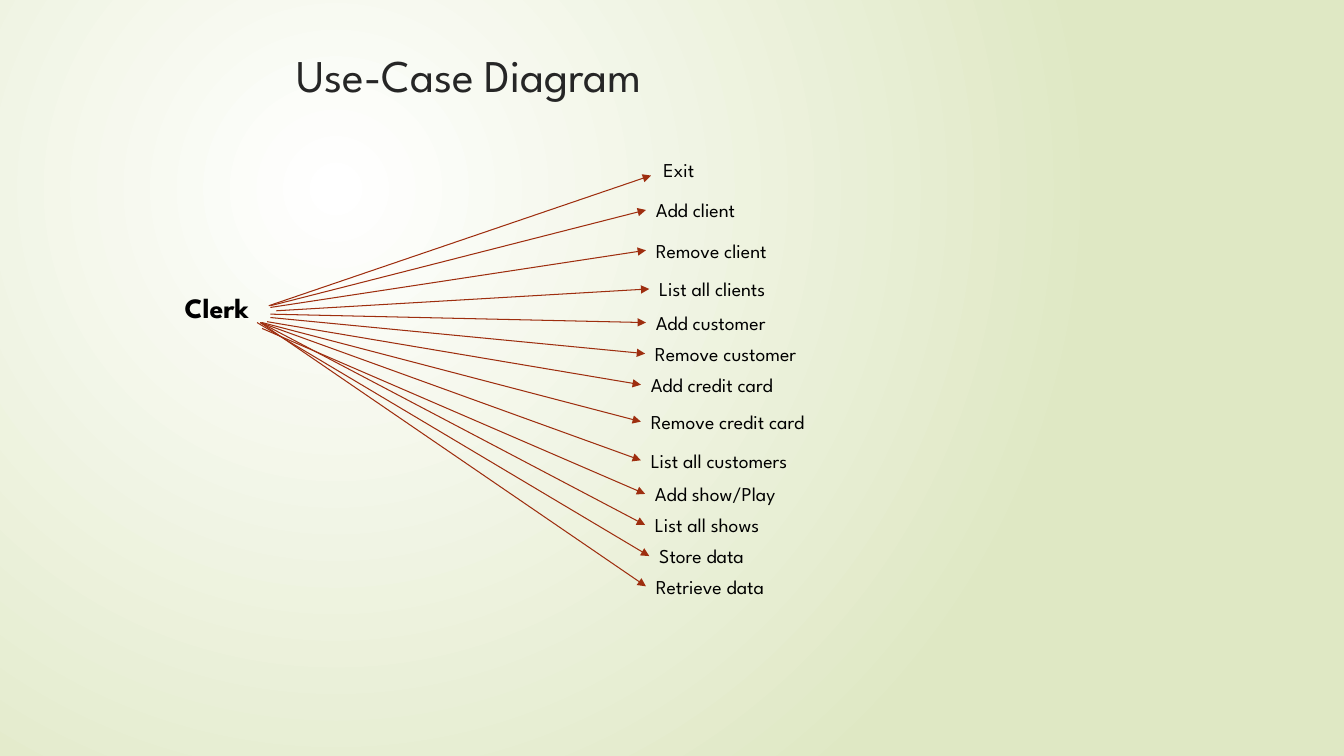
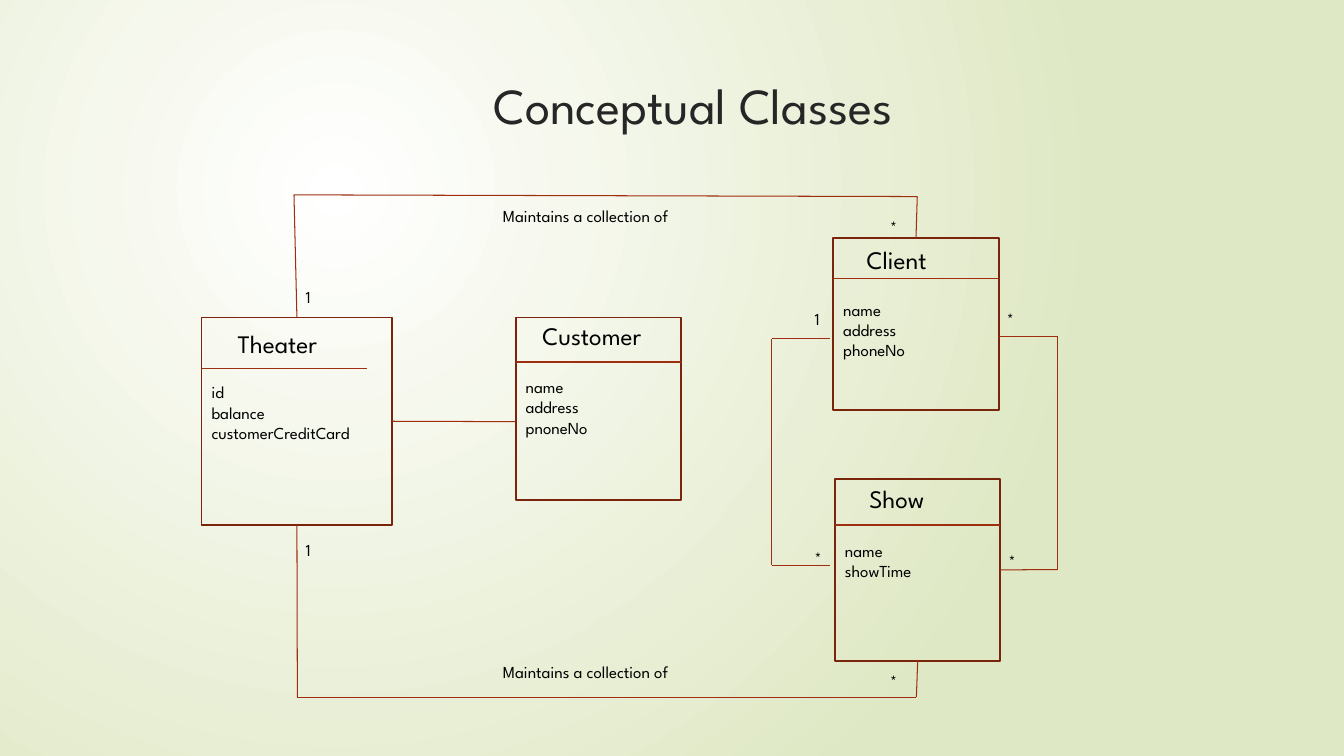
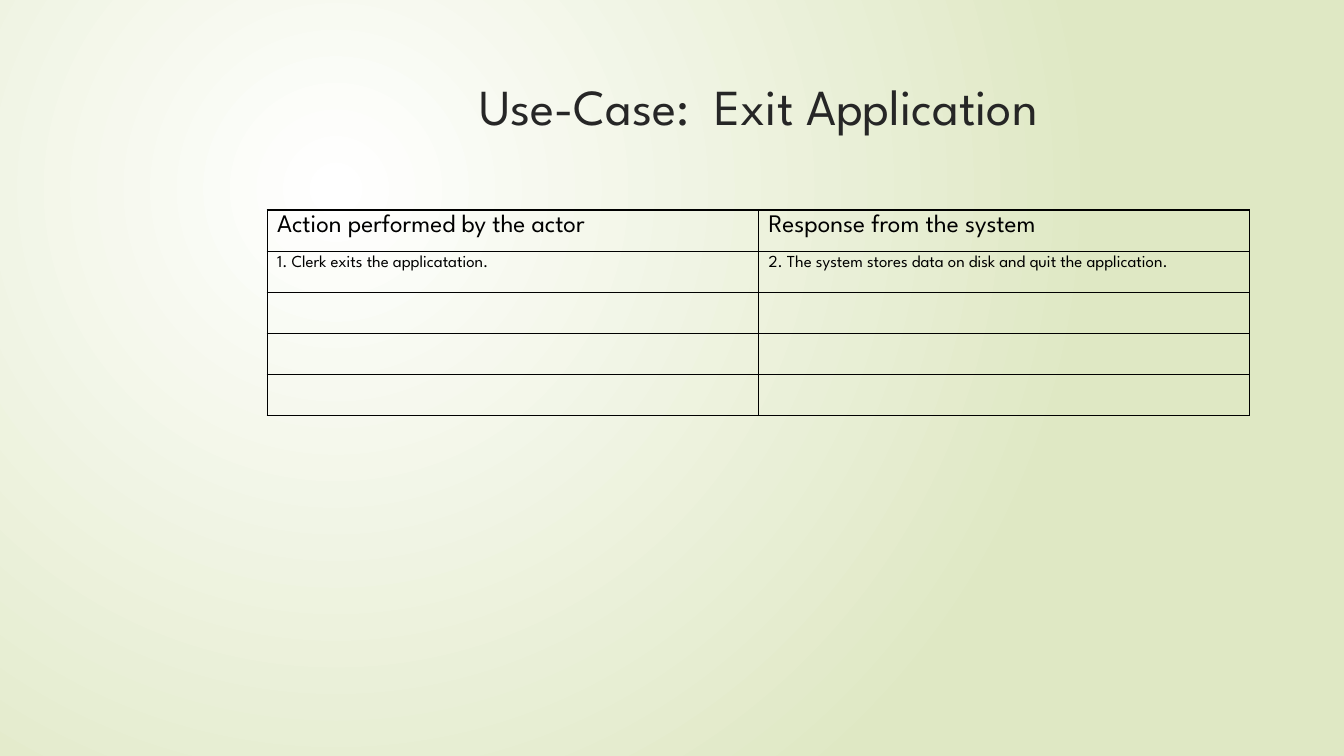
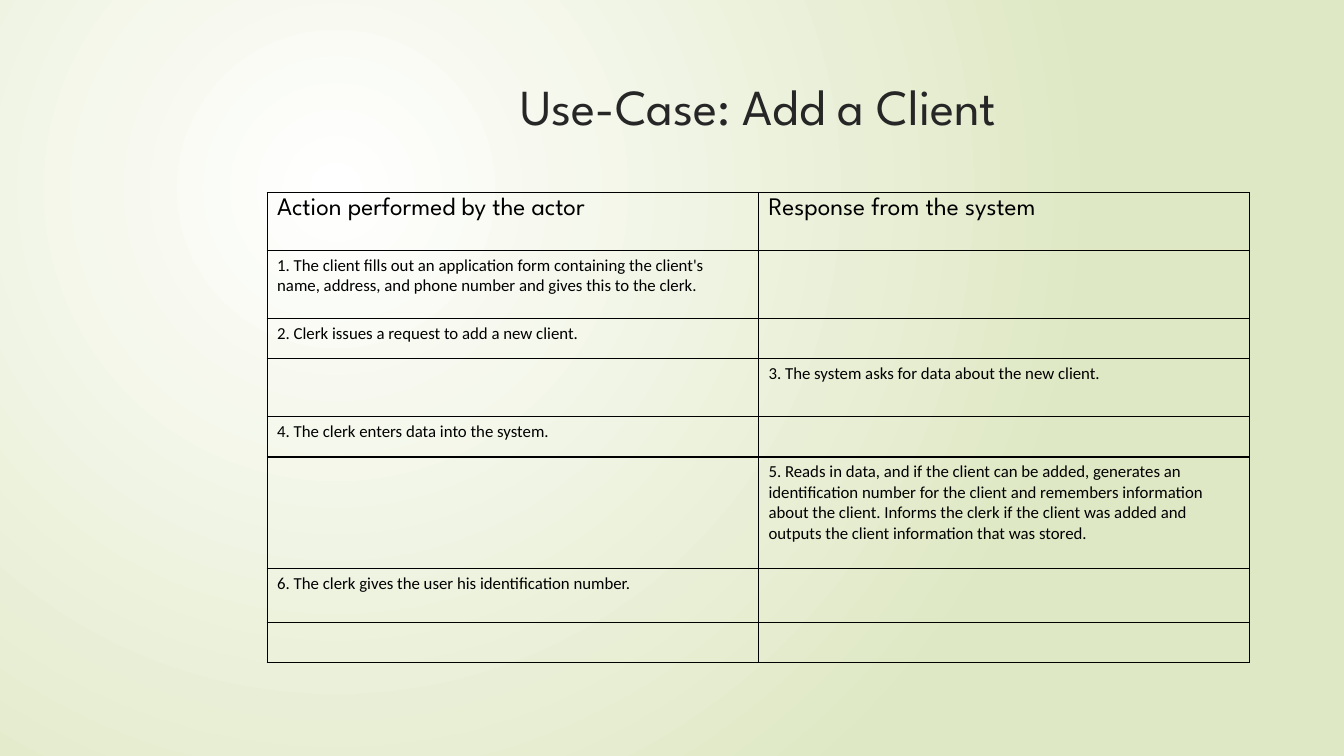
from itertools import pairwise

from lxml.etree import SubElement
from pptx import Presentation
from pptx.dml.color import RGBColor
from pptx.enum.shapes import MSO_CONNECTOR, MSO_SHAPE
from pptx.enum.text import MSO_ANCHOR, PP_ALIGN
from pptx.oxml.ns import qn
from pptx.util import Inches, Pt

COLUMNS, ROWS = 16, 9
SLIDE_WIDTH = Inches(40 / 3)
CELL = SLIDE_WIDTH / COLUMNS

COLORS = {
    "title": "262626",
    "text": "000000",
    "line": "9E2E0F",
    "box": "7A240C",
    "glow": "FFFFFF",
    "ground": "DFE8C4",
}
FONT = "League Spartan"
BODY_FONT = "Calibri"
TOP, LEFT, BOTTOM, RIGHT = 0, 1, 2, 3

USE_CASES = [
    ("Add client", (3.22, 3.64), (7.69, 2.5), 1.6),
    ("Remove client", (3.22, 3.66), (7.69, 2.98), 2.3),
    ("List all clients", (3.29, 3.7), (7.73, 3.44), 1.67),
    ("Add customer", (3.22, 3.74), (7.69, 3.84), 1.87),
    ("Remove customer", (3.22, 3.78), (7.68, 4.21), 2.33),
    ("Add credit card", (3.18, 3.83), (7.63, 4.58), 2.09),
    ("Remove credit card", (3.12, 3.84), (7.63, 5.02), 2.54),
    ("List all customers", (3.1, 3.84), (7.63, 5.48), 2.11),
    ("Add show/Play", (3.12, 3.91), (7.68, 5.88), 1.97),
    ("List all shows", (3.1, 3.84), (7.68, 6.25), 1.63),
    ("Store data", (3.06, 3.84), (7.73, 6.62), 1.45),
    ("Retrieve data", (3.1, 3.84), (7.69, 6.98), 1.8),
]
MULTIPLICITIES = [
    ("1", 3.52, 3.35), ("1", 3.52, 6.37), ("*", 10.48, 2.52), ("*", 10.48, 7.93),
    ("1", 9.58, 3.62), ("*", 9.58, 6.46), ("*", 11.87, 3.62), ("*", 11.89, 6.5),
]
TABLE_HEAD = ("Action performed by the actor", "Response from the system")
EXIT_STEPS = [
    ("1. Clerk exits the applicatation.",
     "2. The system stores data on disk and quit the application."),
    ("", ""), ("", ""), ("", ""),
]
ADD_CLIENT_STEPS = [
    ("1. The client fills out an application form containing the client's name, "
     "address, and phone number and gives this to the clerk.", ""),
    ("2. Clerk issues a request to add a new client.", ""),
    ("", "3. The system asks for data about the new client."),
    ("4. The clerk enters data into the system.", ""),
    ("", "5. Reads in data, and if the client can be added, generates an "
         "identification number for the client and remembers information about "
         "the client. Informs the clerk if the client was added and outputs the "
         "client information that was stored."),
    ("6. The clerk gives the user his identification number.", ""),
    ("", ""),
]


def grid(*cells):
    return [round(c * CELL) for c in cells]


def rgb(name):
    return RGBColor.from_string(COLORS[name])


def write(tf, text, size, color="text", font=FONT, bold=False, align=None):
    tf.text = text
    for p in tf.paragraphs:
        p.alignment = align
        for r in p.runs:
            r.font.name, r.font.size, r.font.bold = font, Pt(size), bold
            r.font.color.rgb = rgb(color)


def label(s, text, x, y, w, size, **style):
    height = 0.12 + size / 50 * len(text.split("\n"))
    tf = s.shapes.add_textbox(*grid(x, y, w, height)).text_frame
    tf.word_wrap = True
    tf.vertical_anchor = MSO_ANCHOR.TOP
    write(tf, text, size, **style)


def title(s, text, x, y, size=36, align=PP_ALIGN.CENTER):
    label(s, text, x, y, 11.7, size, color="title", align=align)


def line(s, start, end, arrow=False):
    c = s.shapes.add_connector(MSO_CONNECTOR.STRAIGHT, *grid(*start, *end))
    c.line.color.rgb = rgb("line")
    c.line.width = Pt(0.75)
    if arrow:
        SubElement(c.line._get_or_add_ln(), qn("a:tailEnd"), type="triangle")
    SubElement(c._element.spPr, qn("a:effectLst"))
    return c


def route(s, points, begin=None, end=None):
    lines = [line(s, a, b) for a, b in pairwise(points)]
    if begin:
        lines[0].begin_connect(*begin)
    if end:
        lines[-1].end_connect(*end)


def use_case(s, text, start, tip, width, shift=(0, -0.2)):
    line(s, start, tip, arrow=True)
    label(s, text, tip[0] + shift[0], tip[1] + shift[1], width, 14)


def class_box(s, name, attributes, at, name_shift, rule_depth, list_depth):
    x, y, w, h = at
    sp = s.shapes.add_shape(MSO_SHAPE.RECTANGLE, *grid(x, y, w, h))
    sp.shadow.inherit = False
    sp.fill.background()
    sp.line.color.rgb = rgb("box")
    sp.line.width = Pt(1.25)
    line(s, (x, y + rule_depth), (x + 1.97, y + rule_depth))
    label(s, name, x + name_shift[0], y + name_shift[1], 1.5, 18)
    label(s, "\n".join(attributes), x, y + list_depth, w, 12)
    return sp


def border(cell):
    tcPr = cell._tc.get_or_add_tcPr()
    for side in ("a:lnL", "a:lnR", "a:lnT", "a:lnB"):
        ln = SubElement(tcPr, qn(side), w=str(Pt(1)))
        SubElement(SubElement(ln, qn("a:solidFill")), qn("a:srgbClr"), val=COLORS["text"])


def step_table(s, y, heights, steps, font=FONT):
    rows = [TABLE_HEAD, *steps]
    frame = s.shapes.add_table(len(rows), 2, *grid(3.18, y, 11.7, sum(heights)))
    table = frame.table
    table.first_row = table.horz_banding = False
    for i, (texts, height) in enumerate(zip(rows, heights)):
        table.rows[i].height = grid(height)[0]
        for cell, text in zip(table.rows[i].cells, texts):
            border(cell)
            cell.fill.background()
            if text:
                size, face = (18, FONT) if i == 0 else (12, font)
                write(cell.text_frame, text, size, font=face)


def set_background(prs):
    master = prs.slide_master
    fill = master.background.fill
    fill.gradient()
    for stop, name in zip(fill.gradient_stops, ("glow", "ground")):
        stop.color.rgb = rgb(name)
    lin = master.element.find(".//" + qn("a:lin"))
    grad = lin.getparent()
    grad.remove(lin)
    circle = SubElement(grad, qn("a:path"), path="circle")
    SubElement(circle, qn("a:fillToRect"), l="50000", t="50000", r="100000", b="100000")


def add_slide(prs):
    return prs.slides.add_slide(prs.slide_layouts[6])


def use_case_diagram(prs):
    s = add_slide(prs)
    title(s, "Use-Case Diagram", 3.41, 0.5, size=32.4, align=PP_ALIGN.LEFT)
    label(s, "Clerk", 2.08, 3.4, 1.15, 20, bold=True)
    use_case(s, "Exit", (3.2, 3.64), (7.75, 2.09), 0.74, shift=(0.03, -0.27))
    for case in USE_CASES:
        use_case(s, *case)


def conceptual_classes(prs):
    s = add_slide(prs)
    title(s, "Conceptual Classes", 2.4, 0.82)
    theater = class_box(s, "Theater", ("id", "balance", "customerCreditCard"),
                        (2.4, 3.78, 2.27, 2.47), (0.31, 0.07), 0.61, 0.71)
    class_box(s, "Customer", ("name", "address", "pnoneNo"),
              (6.14, 3.78, 1.97, 2.17), (0.2, -0.02), 0.53, 0.65)
    client = class_box(s, "Client", ("name", "address", "phoneNo"),
                       (9.92, 2.83, 1.97, 2.05), (0.28, 0.02), 0.49, 0.68)
    show = class_box(s, "Show", ("name", "showTime"),
                     (9.94, 5.7, 1.97, 2.17), (0.29, 0), 0.55, 0.68)

    route(s, [(3.54, 3.78), (3.5, 2.32), (10.92, 2.34), (10.91, 2.83)],
          begin=(theater, TOP), end=(client, TOP))
    route(s, [(3.54, 6.25), (3.54, 8.3), (10.91, 8.3), (10.92, 7.87)],
          begin=(theater, BOTTOM), end=(show, BOTTOM))
    route(s, [(4.67, 5.02), (6.14, 5.02)], begin=(theater, RIGHT))
    route(s, [(11.89, 4.01), (12.59, 4.01), (12.59, 6.78), (11.91, 6.78)],
          end=(show, RIGHT))
    route(s, [(9.88, 4.03), (9.19, 4.03), (9.19, 6.73), (9.88, 6.73)])

    for y in (2.39, 7.82):
        label(s, "Maintains a collection of", 5.87, y, 2.71, 12)
    for text, x, y in MULTIPLICITIES:
        label(s, text, x, y, 0.34, 12)


def exit_application(prs):
    s = add_slide(prs)
    title(s, "Use-Case:  Exit Application", 3.18, 0.84)
    step_table(s, 2.5, [0.49] * 5, EXIT_STEPS)


def add_a_client(prs):
    s = add_slide(prs)
    title(s, "Use-Case: Add a Client", 3.18, 0.84)
    heights = [0.69, 0.81, 0.47, 0.69, 0.47, 1.33, 0.64, 0.47]
    step_table(s, 2.29, heights, ADD_CLIENT_STEPS, font=BODY_FONT)


def main():
    prs = Presentation()
    prs.slide_width, prs.slide_height = grid(COLUMNS, ROWS)
    set_background(prs)
    use_case_diagram(prs)
    conceptual_classes(prs)
    exit_application(prs)
    add_a_client(prs)
    prs.save("out.pptx")


if __name__ == "__main__":
    main()
